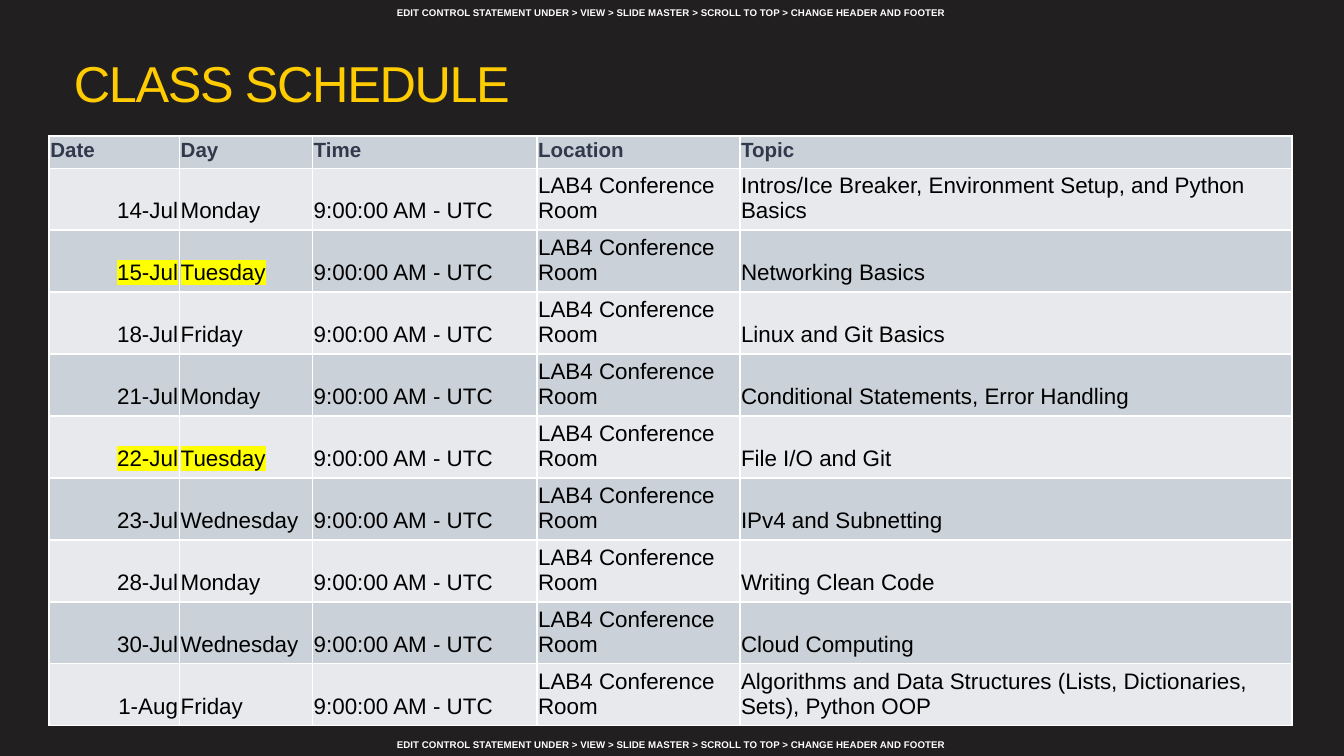
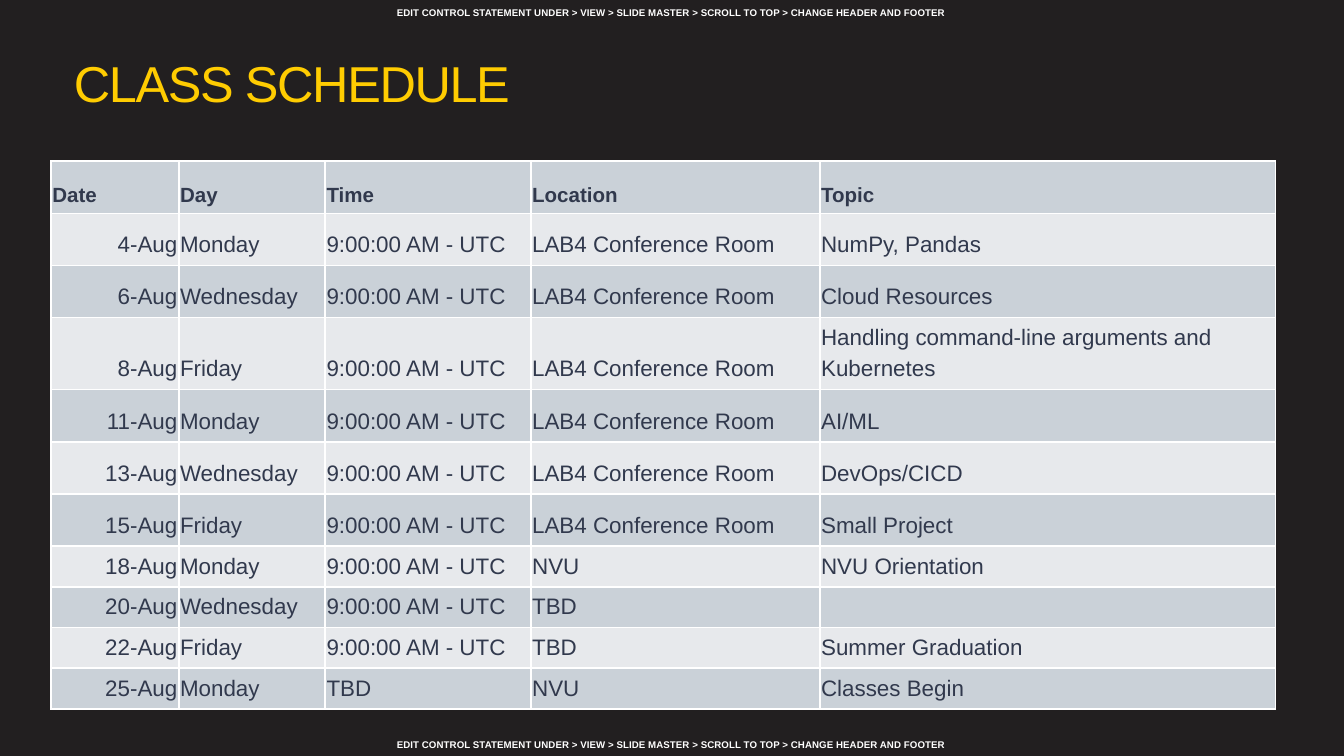
from pptx import Presentation
from pptx.dml.color import RGBColor
from pptx.enum.text import MSO_ANCHOR, MSO_AUTO_SIZE, PP_ALIGN
from pptx.oxml.ns import qn
from pptx.util import Inches, Pt
from lxml.etree import SubElement

DARK = RGBColor(0x22, 0x1F, 0x20)
GOLD = RGBColor(0xFF, 0xCC, 0x01)
WHITE = RGBColor(0xFF, 0xFF, 0xFF)
BLACK = RGBColor(0x00, 0x00, 0x00)
NAVY = RGBColor(0x31, 0x39, 0x4D)
STEEL = RGBColor(0xCA, 0xD1, 0xD8)
PALE = RGBColor(0xE7, 0xE9, 0xEC)
GLOW = RGBColor(0xFF, 0xFF, 0x00)

prs = Presentation()
prs.slide_width = Inches(10)
prs.slide_height = prs.slide_width * 9 // 16
UNIT = prs.slide_width / 100


def size(count):
    return round(count * UNIT)


def put(frame, text, pt, color, bold=False, align=PP_ALIGN.LEFT, lead=None, track=None, glow=None):
    para = frame.paragraphs[0]
    para.alignment = align
    para.line_spacing = lead
    if not text:
        SubElement(para._p, qn("a:endParaRPr")).set("sz", str(pt * 100))
        return
    run = para.add_run()
    run.text = text
    run.font.size = Pt(pt)
    run.font.bold = bold
    run.font.color.rgb = color
    props = run._r.get_or_add_rPr()
    if track:
        props.set("spc", str(track))
    if glow:
        mark = SubElement(props, qn("a:highlight"))
        SubElement(mark, qn("a:srgbClr")).set("val", str(glow))
    run.font.name = "Arial"


HEAD = ["Date", "Day", "Time", "Location", "Topic"]
NINE = "9:00:00 AM - UTC"
ROOM = "LAB4 Conference Room"
HALL = "LAB4 Conference Room"

JULY = [
    ("14-Jul", "Monday", NINE, ROOM, "Intros/Ice Breaker, Environment Setup, and Python Basics"),
    ("15-Jul", "Tuesday", NINE, ROOM, "Networking Basics"),
    ("18-Jul", "Friday", NINE, ROOM, "Linux and Git Basics"),
    ("21-Jul", "Monday", NINE, ROOM, "Conditional Statements, Error Handling"),
    ("22-Jul", "Tuesday", NINE, ROOM, "File I/O and Git"),
    ("23-Jul", "Wednesday", NINE, ROOM, "IPv4 and Subnetting"),
    ("28-Jul", "Monday", NINE, ROOM, "Writing Clean Code"),
    ("30-Jul", "Wednesday", NINE, ROOM, "Cloud Computing"),
    ("1-Aug", "Friday", NINE, ROOM,
     "Algorithms and Data Structures (Lists, Dictionaries, Sets), Python OOP"),
]
AUGUST = [
    ("4-Aug", "Monday", NINE, HALL, "NumPy, Pandas"),
    ("6-Aug", "Wednesday", NINE, HALL, "Cloud Resources"),
    ("8-Aug", "Friday", NINE, HALL, "Handling command-line arguments and Kubernetes"),
    ("11-Aug", "Monday", NINE, HALL, "AI/ML"),
    ("13-Aug", "Wednesday", NINE, HALL, "DevOps/CICD"),
    ("15-Aug", "Friday", NINE, HALL, "Small Project"),
    ("18-Aug", "Monday", NINE, "NVU", "NVU Orientation"),
    ("20-Aug", "Wednesday", NINE, "TBD", ""),
    ("22-Aug", "Friday", NINE, "TBD", "Summer Graduation"),
    ("25-Aug", "Monday", "TBD", "NVU", "Classes Begin"),
]
PLANS = [
    dict(rows=JULY, left=3.65, top=10.1, cols=[9.7, 9.9, 16.7, 15.1, 41.1],
         tall=[2.43] + [4.61] * 9, ink=BLACK, lead=None, foot=0.05),
    dict(rows=AUGUST, left=3.8, top=12, cols=[9.5, 10.9, 15.3, 21.5, 33.9],
         tall=[3.88] * 3 + [5.2] + [3.88] * 3 + [2.8] * 4, ink=NAVY, lead=1.25, foot=0.06),
]

layout = prs.slide_layouts[5]
fill = prs.slide_master.background.fill
fill.solid()
fill.fore_color.rgb = DARK
for spot in list(layout.placeholders)[1:]:
    spot.element.getparent().remove(spot.element)
title = layout.placeholders[0]
title.left, title.top, title.width, title.height = map(size, (4.5, 3.4, 67.5, 9.8))
frame = title.text_frame
frame.vertical_anchor = MSO_ANCHOR.TOP
frame.auto_size = MSO_AUTO_SIZE.NONE
frame.margin_left = frame.margin_right = frame.margin_top = frame.margin_bottom = size(1)

slides = [prs.slides.add_slide(layout) for plan in PLANS]

NOTICE = "EDIT CONTROL STATEMENT UNDER > VIEW > SLIDE MASTER > SCROLL TO TOP > CHANGE HEADER AND FOOTER"
bands = [slides[0].shapes.add_textbox(*map(size, (11.4, top, 77.2, 1.9))) for top in (54.4, 0)]
for band, anchor in zip(bands, (MSO_ANCHOR.BOTTOM, MSO_ANCHOR.TOP)):
    band.text_frame.word_wrap = True
    band.text_frame.vertical_anchor = anchor
    band.text_frame.margin_left = band.text_frame.margin_right = 0
    put(band.text_frame, NOTICE, 5.25, WHITE, bold=True, align=PP_ALIGN.CENTER)
    layout.shapes.element.append(band.element)

for slide, plan in zip(slides, PLANS):
    put(slide.shapes.title.text_frame, "CLASS SCHEDULE", 27, GOLD, lead=0.9, track=-75)
    lines = [HEAD] + plan["rows"]
    wide, tall = plan["cols"], plan["tall"]
    box = map(size, (plan["left"], plan["top"], sum(wide), sum(tall)))
    table = slide.shapes.add_table(len(lines), len(HEAD), *box).table
    for col, width in zip(table.columns, wide):
        col.width = size(width)
    for y, line in enumerate(lines):
        table.rows[y].height = size(tall[y])
        for x, text in enumerate(line):
            cell = table.cell(y, x)
            cell.vertical_anchor = MSO_ANCHOR.BOTTOM
            cell.margin_left = cell.margin_right = cell.margin_top = Inches(0.01)
            cell.margin_bottom = Inches(plan["foot"] if y else 0.05)
            for side in ("lnL", "lnR", "lnT", "lnB"):
                edge = SubElement(cell._tc.get_or_add_tcPr(), qn("a:" + side), w=str(Pt(1)))
                paint = SubElement(edge, qn("a:solidFill"))
                SubElement(paint, qn("a:srgbClr")).set("val", str(WHITE))
            cell.fill.solid()
            cell.fill.fore_color.rgb = PALE if y % 2 else STEEL
            if y == 0:
                put(cell.text_frame, text, 11, NAVY, bold=True)
            else:
                put(cell.text_frame, text, 12, plan["ink"], lead=plan["lead"],
                    align=PP_ALIGN.LEFT if x else PP_ALIGN.RIGHT,
                    glow=GLOW if x < 2 and line[1] == "Tuesday" else None)

prs.save("out.pptx")
